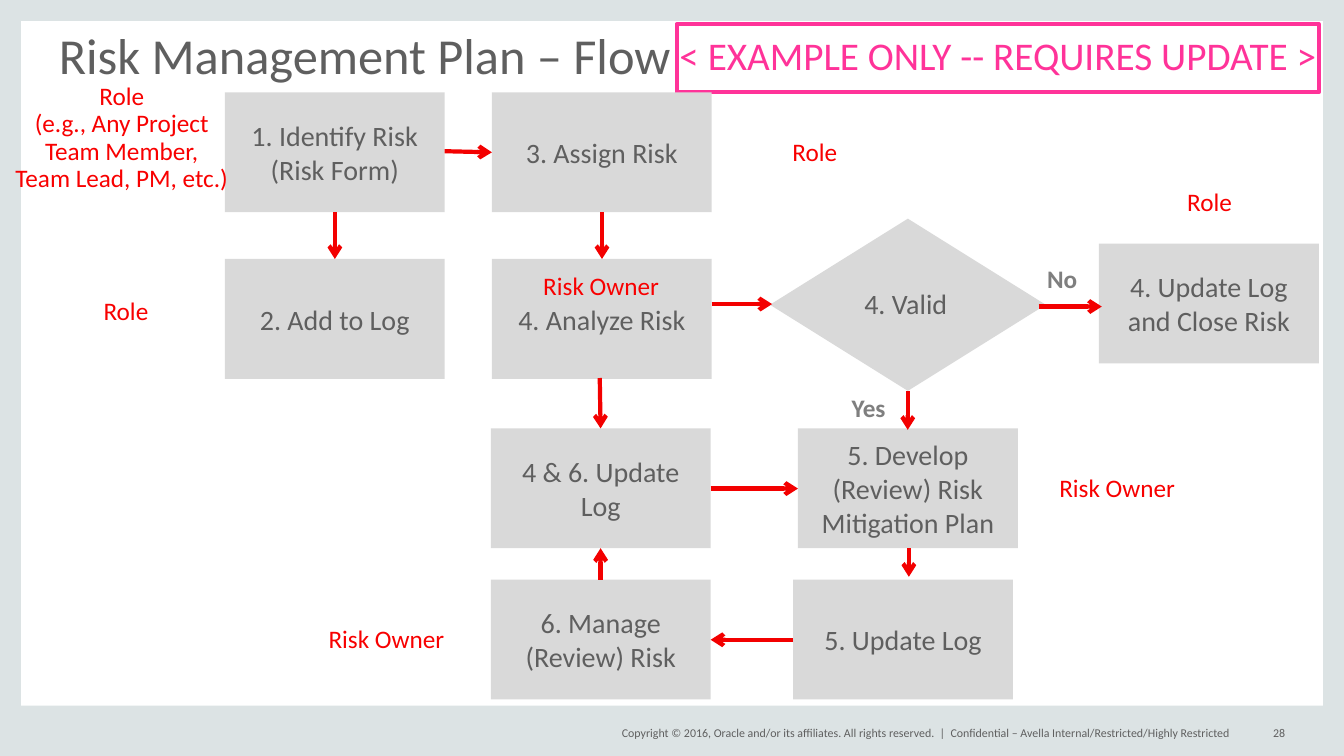
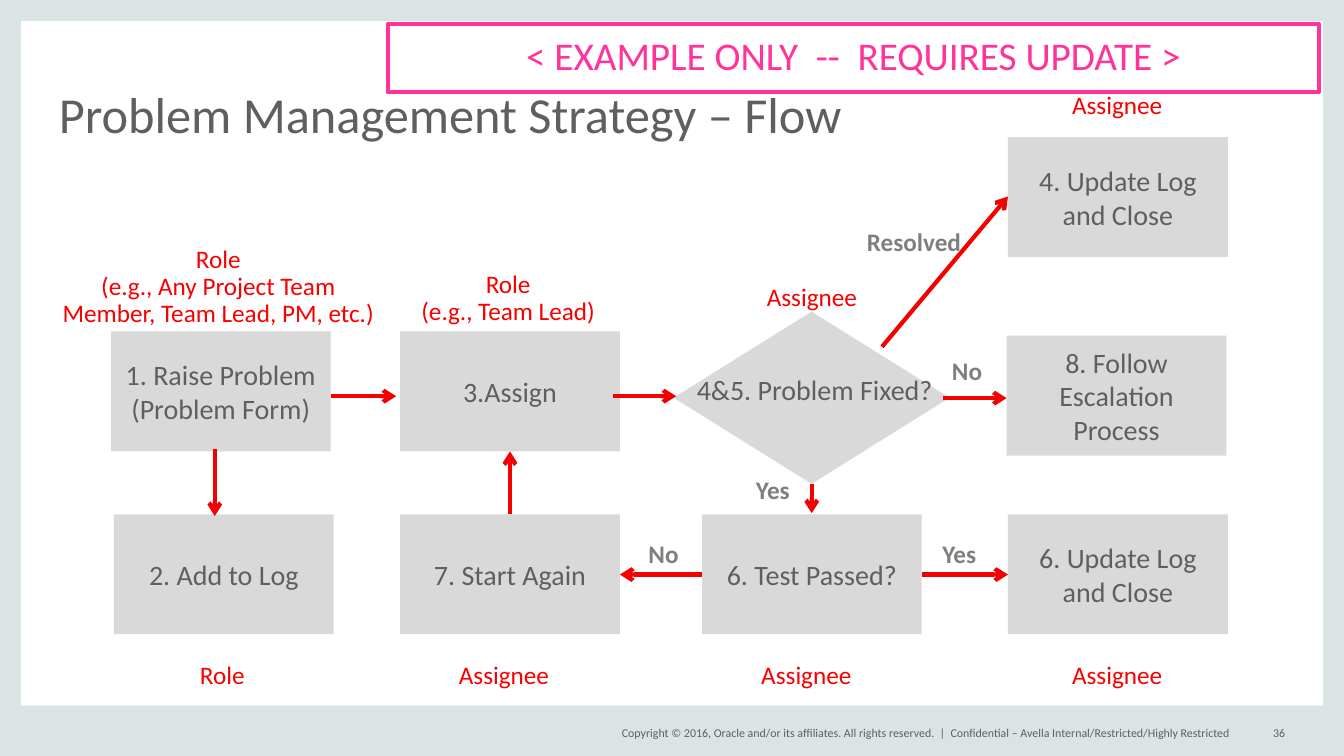
"""Build two process-flow slides: risk management and problem management."""
from lxml import etree
from pptx import Presentation
from pptx.dml.color import RGBColor
from pptx.enum.shapes import MSO_CONNECTOR, MSO_SHAPE
from pptx.enum.text import MSO_ANCHOR as Anchor, MSO_AUTO_SIZE, PP_ALIGN as Align
from pptx.oxml.ns import qn
from pptx.util import Pt

FONT = "Calibri"
BAND = RGBColor(0xDC, 0xE3, 0xE4)
TEXT = RGBColor(0x5F, 0x5F, 0x5F)
BOX = RGBColor(0xD9, 0xD9, 0xD9)
ARROW = RGBColor(0xF3, 0x00, 0x00)
ROLE = RGBColor(0xF8, 0x00, 0x00)
ANSWER = RGBColor(0x7F, 0x7F, 0x7F)
BANNER = RGBColor(0xFF, 0x33, 0x99)

WIDTH, HEIGHT = 960, 540
EDGE, FOOT = 15, 36
BOX_SIZE = (157, 85.6)
DIAMOND_SIZE = (197, 123)
BANNER_TOP, BANNER_RIGHT, BANNER_HEIGHT = 17.3, 942, 48.6
LABEL_WIDTH = 144

COPYRIGHT = "Copyright © 2016, Oracle and/or its affiliates. All rights reserved.  |"
CONFIDENTIAL = "Confidential – Avella Internal/Restricted/Highly Restricted"

SLIDES = [
    {
        "title": "Risk Management Plan – Flow",
        "title_area": (42, 17.3, 876, 43.2),
        "number": "28",
        "banner": ("< EXAMPLE ONLY -- REQUIRES UPDATE >", 483.4),
        "boxes": [
            ("1. Identify Risk\n(Risk Form)", 160.6, 66),
            ("3. Assign Risk", 351.4, 66),
            ("2. Add to Log", 160.6, 185),
            ("4. Analyze Risk", 351.4, 185),
            ("4. Update Log and Close Risk", 785, 174),
            ("4 & 6. Update Log", 350.6, 306),
            ("5. Develop (Review) Risk Mitigation Plan", 570, 306),
            ("6. Manage (Review) Risk", 350.6, 414),
            ("5. Update Log", 566.6, 414),
        ],
        "decision": ("4. Valid", (550, 156.2), (647, 207.4)),
        "arrows": [
            (317.6, 108, 351.4, 108.8),
            (239.2, 151.6, 239.2, 185),
            (430, 151.6, 430, 185),
            (508.4, 217.2, 551.5, 217.2),
            (741.8, 219, 787, 219),
            (428.4, 270, 429, 306),
            (648.4, 279, 648.4, 307),
            (507.6, 349, 570, 349),
            (649.2, 391.6, 649.2, 412),
            (566.6, 457, 507.6, 457),
            (429, 414, 429, 391.6),
        ],
        "roles": [
            ("Role\n(e.g., Any Project\nTeam Member,\nTeam Lead, PM, etc.)", 87, 60),
            ("Role", 582, 100),
            ("Role", 864, 135.6),
            ("Role", 90, 213.6),
            ("Risk Owner", 429.4, 195.6),
            ("Risk Owner", 798, 340),
            ("Risk Owner", 276, 447.6),
        ],
        "answers": [("Yes", 608.4, 280), ("No", 748, 188)],
    },
    {
        "title": "Problem Management Strategy – Flow",
        "title_area": (42, 32, 876, 70),
        "number": "36",
        "banner": ("< EXAMPLE ONLY  --  REQUIRES UPDATE >", 277),
        "boxes": [
            ("1. Raise Problem\n(Problem Form)", 79.2, 236.8),
            ("3.Assign", 285.8, 236.8),
            ("8. Follow Escalation Process", 719, 239.8),
            ("2. Add to Log", 81.4, 367.4),
            ("7. Start Again", 285.8, 367.4),
            ("6. Test Passed?", 501.4, 367.4),
            ("6. Update Log and Close", 720, 367.4),
            ("4. Update Log and Close", 720, 98),
        ],
        "decision": ("4&5. Problem Fixed?", (481.2, 222.6), (582, 268.6)),
        "arrows": [
            (236.2, 283, 283, 283),
            (153.4, 320.4, 153.4, 368.6),
            (437.8, 283, 483, 283),
            (673.6, 284.4, 719, 284.4),
            (630, 247.7, 720, 140.4),
            (579.8, 345.6, 579.8, 366.6),
            (364.3, 367.4, 364.3, 322.4),
            (501.4, 410.4, 442.8, 410.4),
            (658.4, 410.4, 720, 410.4),
        ],
        "roles": [
            ("Assignee", 798, 66.4),
            ("Role\n(e.g., Any Project Team\nMember, Team Lead, PM, etc.)", 156, 176),
            ("Role\n(e.g., Team Lead)", 363, 194),
            ("Assignee", 580, 203.6),
            ("Role", 158.8, 473.6),
            ("Assignee", 360, 473.6),
            ("Assignee", 576, 473.6),
            ("Assignee", 798, 473.6),
        ],
        "answers": [
            ("Resolved", 619.2, 161.4),
            ("No", 680, 254),
            ("Yes", 540, 338.6),
            ("No", 463.2, 384.6),
            ("Yes", 673.2, 384.6),
        ],
    },
]


def write(shape, text, size=20, color=TEXT, bold=False, align=Align.CENTER,
          spacing=None, anchor=Anchor.MIDDLE, inset=(0, 0), wrap=True):
    """Fill a shape with one paragraph for each line of text."""
    frame = shape.text_frame
    frame.auto_size = MSO_AUTO_SIZE.NONE
    frame.word_wrap = wrap
    frame.vertical_anchor = anchor
    frame.margin_left = frame.margin_right = Pt(inset[0])
    frame.margin_top = frame.margin_bottom = Pt(inset[1])
    frame.text = text
    for paragraph in frame.paragraphs:
        paragraph.alignment = align
        paragraph.line_spacing = spacing
        font = paragraph.font
        font.name, font.size, font.bold = FONT, Pt(size), bold
        font.color.rgb = color


def add_text(slide, text, area, **style):
    """Add a text box and return it."""
    shape = slide.shapes.add_textbox(*map(Pt, area))
    write(shape, text, **style)
    return shape


def add_block(slide, kind, area, fill=None, line=None):
    """Add a flat preset shape and return it."""
    shape = slide.shapes.add_shape(kind, *map(Pt, area))
    shape.shadow.inherit = False
    if fill is None:
        shape.fill.background()
    else:
        shape.fill.solid()
        shape.fill.fore_color.rgb = fill
    if line is None:
        shape.line.fill.background()
    else:
        shape.line.color.rgb = line
        shape.line.width = Pt(3)
    return shape


def add_arrow(slide, points):
    """Add a straight arrow pointing at its second end."""
    connector = slide.shapes.add_connector(MSO_CONNECTOR.STRAIGHT, *map(Pt, points))
    connector.line.color.rgb = ARROW
    connector.line.width = Pt(3)
    properties = connector.element.spPr
    etree.SubElement(properties.find(qn("a:ln")), qn("a:tailEnd"), type="arrow")
    etree.SubElement(properties, qn("a:effectLst"))


def add_label(slide, text, center, top, **style):
    """Add a centred label that hangs from a point."""
    area = (center - LABEL_WIDTH / 2, top, LABEL_WIDTH, 20 * len(text.split("\n")))
    add_text(slide, text, area, spacing=0.9, anchor=Anchor.TOP, wrap=False, **style)


def decorate_layout(layout, slide):
    """Place the frame bands and the copyright line on the shared layout."""
    bands = [
        (0, 0, EDGE, HEIGHT),
        (WIDTH - EDGE, 0, EDGE, HEIGHT),
        (0, HEIGHT - FOOT, WIDTH, FOOT),
        (0, 0, WIDTH, EDGE),
    ]
    shapes = [add_block(slide, MSO_SHAPE.RECTANGLE, area, fill=BAND) for area in bands]
    shapes.append(add_text(slide, COPYRIGHT, (423.4, 516.5, 252, 14.4),
                           size=8.5, align=Align.RIGHT))
    for shape in shapes:
        layout.shapes.element.append(shape.element)


def build_slide(slide, content):
    """Draw the title, footer, banner and flow of one slide."""
    title = slide.shapes.title
    title.left, title.top, title.width, title.height = map(Pt, content["title_area"])
    write(title, content["title"], size=36, align=Align.LEFT, spacing=0.8,
          anchor=Anchor.BOTTOM)
    add_text(slide, CONFIDENTIAL, (679, 516.5, 216, 14.4), size=8.5, align=Align.LEFT)
    add_text(slide, content["number"], (888, 516.5, 30, 14.4), size=8.5, align=Align.RIGHT)

    text, left = content["banner"]
    area = (left, BANNER_TOP, BANNER_RIGHT - left, BANNER_HEIGHT)
    banner = add_block(slide, MSO_SHAPE.RECTANGLE, area, line=BANNER)
    write(banner, text, size=28, color=BANNER, spacing=0.9)

    for text, left, top in content["boxes"]:
        box = add_block(slide, MSO_SHAPE.RECTANGLE, (left, top, *BOX_SIZE), fill=BOX)
        write(box, text, inset=(7.2, 3.6))
    question, corner, label_point = content["decision"]
    add_block(slide, MSO_SHAPE.DIAMOND, (*corner, *DIAMOND_SIZE), fill=BOX)
    for points in content["arrows"]:
        add_arrow(slide, points)
    add_label(slide, question, *label_point)
    for text, center, top in content["roles"]:
        add_label(slide, text, center, top, size=18, color=ROLE)
    for text, left, top in content["answers"]:
        add_text(slide, text, (left, top, 80, 22), size=18, color=ANSWER, bold=True,
                 align=Align.LEFT, anchor=Anchor.TOP)


def main():
    """Build and save the presentation."""
    presentation = Presentation()
    presentation.slide_width, presentation.slide_height = Pt(WIDTH), Pt(HEIGHT)
    layout = presentation.slide_layouts[5]
    for index, content in enumerate(SLIDES):
        slide = presentation.slides.add_slide(layout)
        if index == 0:
            decorate_layout(layout, slide)
        build_slide(slide, content)
    presentation.save("out.pptx")


if __name__ == "__main__":
    main()
